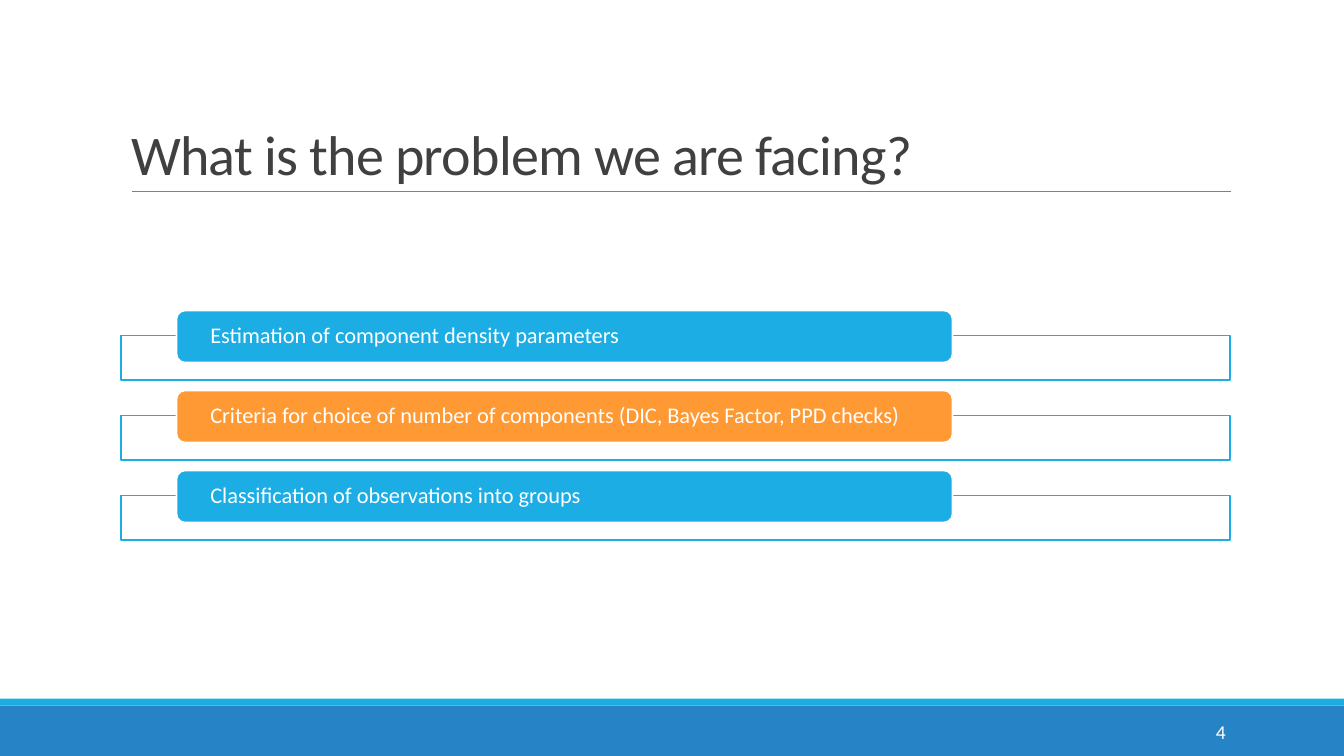
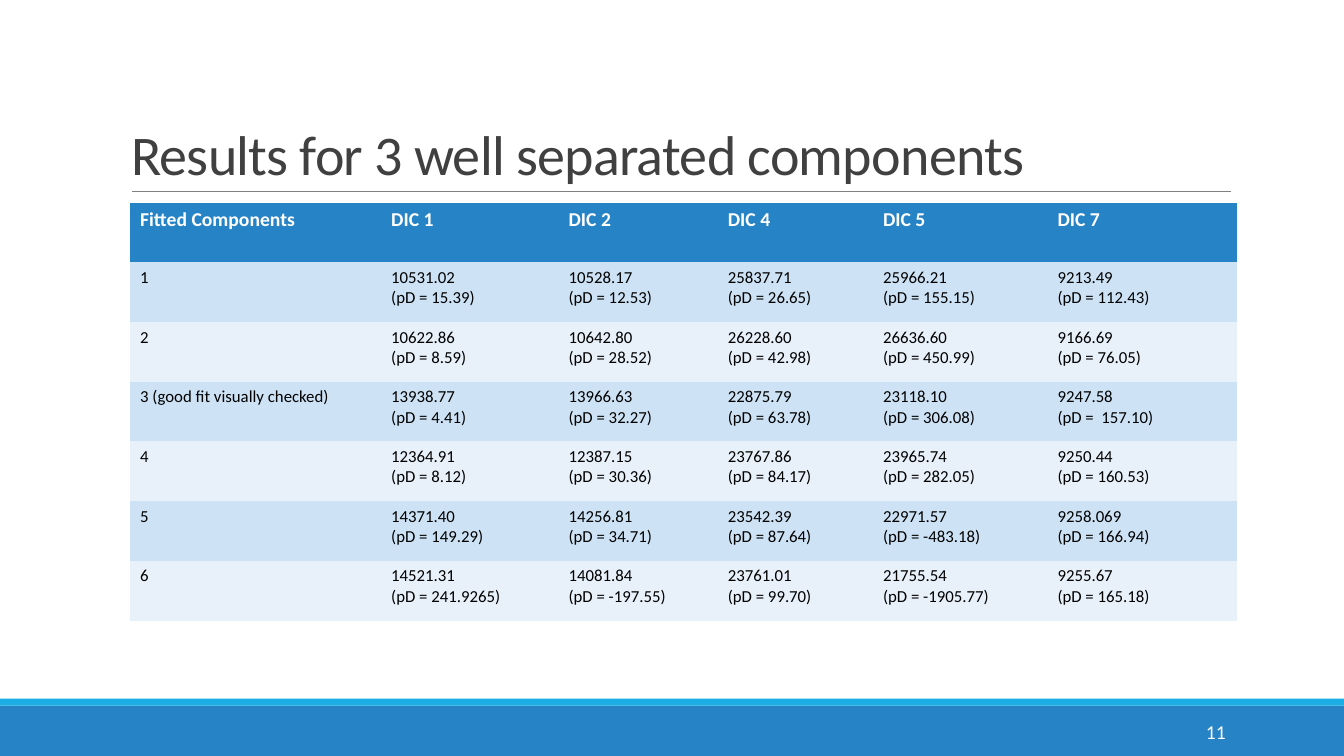
from pptx import Presentation
from pptx import util as u
from pptx.dml.color import RGBColor
from pptx.enum import shapes, text
from pptx.oxml import ns
from lxml import etree

FONT = "Calibri"
BLUE, SKY, ORANGE = "2683C6", "1CADE4", "FF9933"
WHITE, BLACK, INK, GREY = "FFFFFF", "000000", "404040", "808080"
ROW_TINTS = ("CDE3F5", "E8F1FA")
PLAIN_TABLE = "{2D5ABB26-0587-4C30-8999-92F81FD0307C}"

PROBLEMS = [
    ("Estimation of component density parameters", SKY),
    ("Criteria for choice of number of components (DIC, Bayes Factor, PPD checks)", ORANGE),
    ("Classification of observations into groups", SKY),
]

HEADER = ["Fitted Components", "DIC 1", "DIC 2", "DIC 4", "DIC 5", "DIC 7"]
COLUMN_SHARES = [18.68, 13.2, 11.85, 11.55, 12.98, 14.1]
# Each result is the DIC value and its pD.
RESULTS = [
    ("1", ("10531.02", "15.39"), ("10528.17", "12.53"), ("25837.71", "26.65"),
     ("25966.21", "155.15"), ("9213.49", "112.43")),
    ("2", ("10622.86", "8.59"), ("10642.80", "28.52"), ("26228.60", "42.98"),
     ("26636.60", "450.99"), ("9166.69", "76.05")),
    ("3 (good fit visually checked)", ("13938.77", "4.41"), ("13966.63", "32.27"),
     ("22875.79", "63.78"), ("23118.10", "306.08"), ("9247.58", " 157.10")),
    ("4", ("12364.91", "8.12"), ("12387.15", "30.36"), ("23767.86", "84.17"),
     ("23965.74", "282.05"), ("9250.44", "160.53")),
    ("5", ("14371.40", "149.29"), ("14256.81", "34.71"), ("23542.39", "87.64"),
     ("22971.57", "-483.18"), ("9258.069", "166.94")),
    ("6", ("14521.31", "241.9265"), ("14081.84", "-197.55"), ("23761.01", "99.70"),
     ("21755.54", "-1905.77"), ("9255.67", "165.18")),
]


def color(value):
    return RGBColor.from_string(value)


class Slides:
    """Holds the deck, its style and the current slide; lengths are percent of the slide."""

    def __init__(self):
        self.deck = Presentation()
        self.deck.slide_width = u.Inches(13.333)
        self.deck.slide_height = u.Inches(7.5)
        self.slide = None

    def x(self, share):
        return u.Emu(round(self.deck.slide_width * share / 100))

    def y(self, share):
        return u.Emu(round(self.deck.slide_height * share / 100))

    def area(self, left, top, width, height):
        return self.x(left), self.y(top), self.x(width), self.y(height)

    def start(self, title, number):
        """Adds a slide with bands, title, rule and page number."""
        self.slide = self.deck.slides.add_slide(self.deck.slide_layouts[5])
        self.box((0, 93.33, 100, 6.67), BLUE)
        self.box((0, 92.4, 100, 0.93), SKY)
        self.rule(9.84, 91.58, 25.33)
        self.title(title)
        self.page_number(number)

    def title(self, words):
        box = self.slide.shapes.title
        box.left, box.top, box.width, box.height = self.area(9, 4.13, 82.5, 21.2)
        frame = box.text_frame
        frame.word_wrap = True
        frame.auto_size = text.MSO_AUTO_SIZE.NONE
        frame.vertical_anchor = text.MSO_ANCHOR.BOTTOM
        para = frame.paragraphs[0]
        para.line_spacing = 0.85
        span = self.add_span(para, words, 40, INK)
        span.font._element.set("spc", "-50")

    def page_number(self, number):
        box = self.slide.shapes.add_textbox(*self.area(81.25, 94.13, 10.7, 5.33))
        frame = box.text_frame
        frame.word_wrap = True
        frame.vertical_anchor = text.MSO_ANCHOR.MIDDLE
        self.add_span(frame.paragraphs[0], str(number), 14, WHITE, align=text.PP_ALIGN.RIGHT)

    def add_span(self, para, words, size, ink, bold=False, align=text.PP_ALIGN.LEFT):
        para.alignment = align
        span = para.add_run()
        span.text = words
        span.font.name = FONT
        span.font.size = u.Pt(size)
        span.font.bold = bold
        span.font.color.rgb = color(ink)
        return span

    def box(self, area, fill, line=None, kind=shapes.MSO_SHAPE.RECTANGLE):
        box = self.slide.shapes.add_shape(kind, *self.area(*area))
        box.shadow.inherit = False
        box.fill.solid()
        box.fill.fore_color.rgb = color(fill)
        if line:
            box.line.color.rgb = color(line)
            box.line.width = u.Pt(1.25)
        else:
            box.line.fill.background()
        return box

    def rule(self, left, right, top):
        line = self.slide.shapes.add_connector(
            shapes.MSO_CONNECTOR.STRAIGHT, self.x(left), self.y(top), self.x(right), self.y(top))
        line.line.color.rgb = color(GREY)
        line.line.width = u.Pt(0.5)
        etree.SubElement(line._element.spPr, ns.qn("a:effectLst"))

    def labelled_bar(self, top, words, fill):
        """Draws an open bar with a filled label over its upper edge."""
        self.box((9, top + 3.33, 82.5, 5.9), WHITE, SKY)
        label = self.box((13.13, top, 57.75, 6.9), fill, WHITE, shapes.MSO_SHAPE.ROUNDED_RECTANGLE)
        frame = label.text_frame
        frame.word_wrap = True
        frame.margin_left = frame.margin_right = self.x(2.33)
        frame.margin_top = frame.margin_bottom = 0
        frame.vertical_anchor = text.MSO_ANCHOR.MIDDLE
        para = frame.paragraphs[0]
        para.line_spacing = 0.9
        self.add_span(para, words, 16, WHITE)

    def table(self, left, top, height, column_shares, header, rows):
        graphic = self.slide.shapes.add_table(
            len(rows) + 1, len(header), *self.area(left, top, sum(column_shares), height))
        table = graphic.table
        table._tbl.tblPr.find(ns.qn("a:tableStyleId")).text = PLAIN_TABLE
        for column, share in zip(table.columns, column_shares):
            column.width = self.x(share)
        for index, words in enumerate(header):
            self.cell(table.cell(0, index), [words], BLUE, 14, WHITE, True)
        for number, (name, *results) in enumerate(rows):
            contents = [[name]] + [[dic, f"(pD = {pd})"] for dic, pd in results]
            for index, lines in enumerate(contents):
                self.cell(table.cell(number + 1, index), lines, ROW_TINTS[number % 2], 12, BLACK)

    def cell(self, cell, lines, fill, size, ink, bold=False):
        cell.fill.solid()
        cell.fill.fore_color.rgb = color(fill)
        frame = cell.text_frame
        for index, words in enumerate(lines):
            para = frame.add_paragraph() if index else frame.paragraphs[0]
            self.add_span(para, words, size, ink, bold)


def main():
    slides = Slides()

    slides.start("What is the problem we are facing?", 4)
    for index, (words, fill) in enumerate(PROBLEMS):
        slides.labelled_bar(41.07 + index * 10.58, words, fill)

    slides.start("Results for 3 well separated components", 11)
    slides.table(9.68, 26.8, 55.33, COLUMN_SHARES, HEADER, RESULTS)

    slides.deck.save("out.pptx")


if __name__ == "__main__":
    main()
